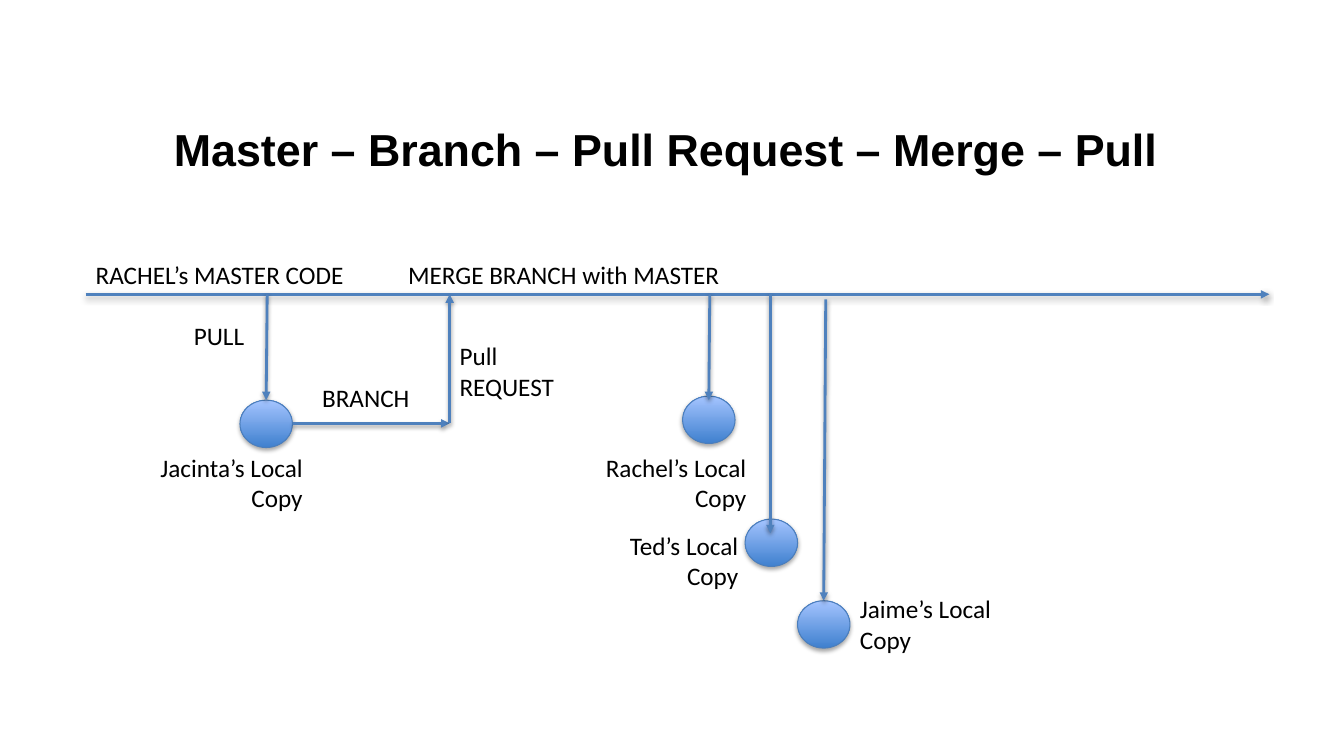
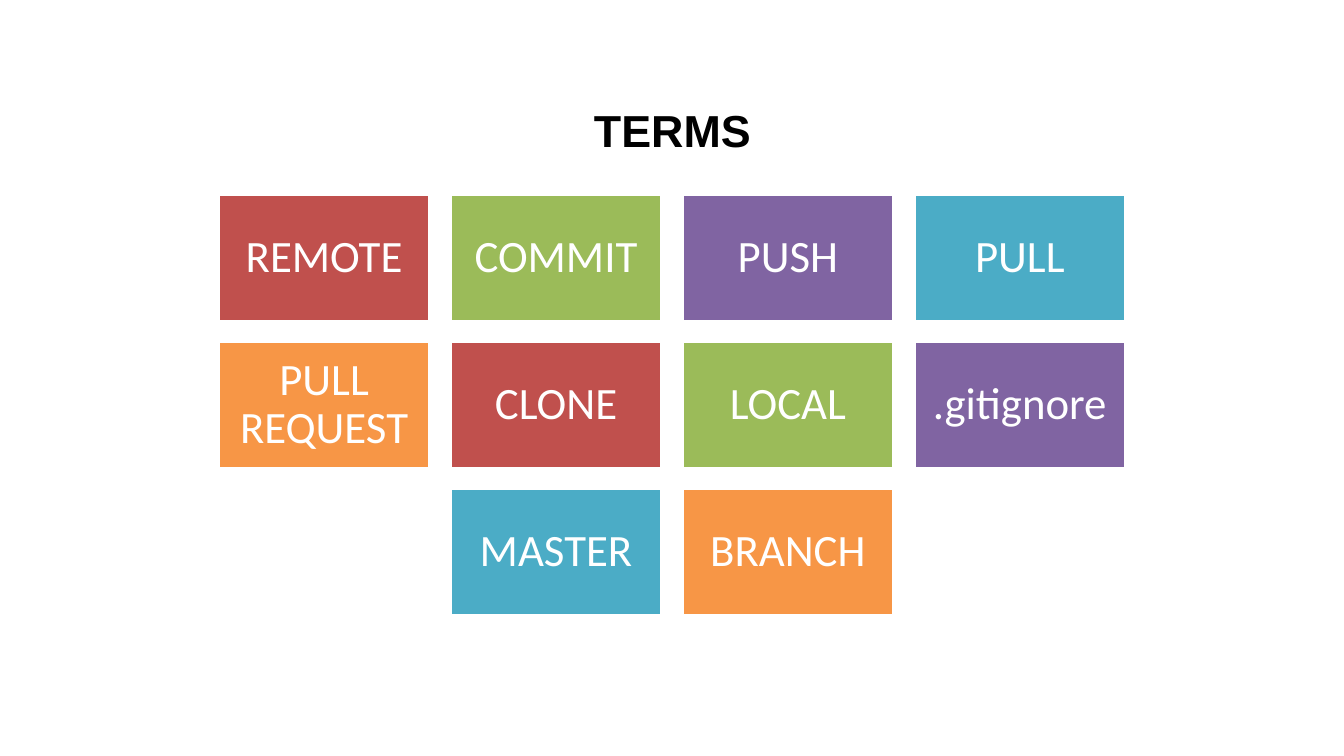
from itertools import cycle

from lxml import etree
from pptx import Presentation
from pptx.dml.color import RGBColor
from pptx.enum.shapes import MSO_CONNECTOR, MSO_SHAPE
from pptx.enum.text import MSO_ANCHOR, MSO_AUTO_SIZE, PP_ALIGN
from pptx.oxml.ns import qn
from pptx.util import Inches, Pt

STRAIGHT = MSO_CONNECTOR.STRAIGHT
OVAL, RECTANGLE = MSO_SHAPE.OVAL, MSO_SHAPE.RECTANGLE
MIDDLE = MSO_ANCHOR.MIDDLE
GROW, NO_FIT = MSO_AUTO_SIZE.SHAPE_TO_FIT_TEXT, MSO_AUTO_SIZE.NONE
LEFT, CENTER, RIGHT = PP_ALIGN.LEFT, PP_ALIGN.CENTER, PP_ALIGN.RIGHT

TITLE_ONLY = 5
TOP_SITE = 0


def color(value):
    return RGBColor.from_string(value)


def place(left, top, width, height):
    return [Inches(length) for length in (left, top, width, height)]


class SlideBuilder:
    """Shared style, and the slide being filled."""

    title_font, body_font = "Arial", "Calibri"
    black, white = "000000", "FFFFFF"
    arrow_color, circle_edge = "4F81BD", "4B7EBC"
    circle_gradient = ("3F80CE", "A4C4FF")
    tile_colors = ("C0504D", "9BBB59", "8064A2", "4BACC6", "F79646")
    circle_width, circle_height = 0.52, 0.47

    def __init__(self):
        self.deck = Presentation()
        self.deck.slide_width = Inches(13.33)
        self.deck.slide_height = Inches(7.5)
        self.page = None

    def set_text(self, frame, text, size, font, ink, align, bold=False):
        frame.word_wrap = True
        para = frame.paragraphs[0]
        para.alignment = align
        span = para.add_run()
        span.text = text
        span.font.size = Pt(size)
        span.font.name = font
        span.font.bold = bold
        span.font.color.rgb = color(ink)
        return para

    def cast_shadow(self, item, distance, opacity):
        effects = etree.SubElement(item._element.spPr, qn("a:effectLst"))
        shadow = etree.SubElement(
            effects, qn("a:outerShdw"), blurRad=str(Pt(3.1)),
            dist=str(Pt(distance)), dir="5400000", rotWithShape="0")
        tint = etree.SubElement(shadow, qn("a:srgbClr"), val=self.black)
        etree.SubElement(tint, qn("a:alpha"), val=str(opacity * 1000))

    def start(self, title, *box):
        layout = self.deck.slide_layouts[TITLE_ONLY]
        self.page = self.deck.slides.add_slide(layout)
        holder = self.page.shapes.title
        holder.left, holder.top, holder.width, holder.height = place(*box)
        frame = holder.text_frame
        frame.auto_size = NO_FIT
        frame.vertical_anchor = MIDDLE
        self.set_text(frame, title, 32, self.title_font, self.black, CENTER,
                      True)

    def label(self, text, left, top, width, height, align=LEFT):
        box = self.page.shapes.add_textbox(*place(left, top, width, height))
        box.text_frame.auto_size = GROW
        self.set_text(box.text_frame, text, 18, self.body_font, self.black,
                      align)

    def circle(self, left, top):
        disc = self.page.shapes.add_shape(
            OVAL, *place(left, top, self.circle_width, self.circle_height))
        disc.fill.gradient()
        disc.fill.gradient_angle = 90
        for stop, tint in zip(disc.fill.gradient_stops, self.circle_gradient):
            stop.color.rgb = color(tint)
        disc.line.color.rgb = color(self.circle_edge)
        disc.line.width = Pt(0.75)
        self.cast_shadow(disc, 1.8, 35)
        return disc

    def arrow(self, x1, y1, x2, y2, target=None):
        link = self.page.shapes.add_connector(STRAIGHT, *place(x1, y1, x2, y2))
        if target is not None:
            link.end_connect(target, TOP_SITE)
        link.line.color.rgb = color(self.arrow_color)
        link.line.width = Pt(2)
        outline = link._element.spPr.find(qn("a:ln"))
        etree.SubElement(outline, qn("a:tailEnd"), type="triangle")
        self.cast_shadow(link, 1.6, 38)

    def tile(self, text, fill, left, top, width, height):
        box = self.page.shapes.add_shape(
            RECTANGLE, *place(left, top, width, height))
        box.shadow.inherit = False
        box.fill.solid()
        box.fill.fore_color.rgb = color(fill)
        box.line.color.rgb = color(self.white)
        box.line.width = Pt(2)
        frame = box.text_frame
        frame.vertical_anchor = MIDDLE
        frame.margin_left = frame.margin_right = Inches(0.13)
        frame.margin_top = frame.margin_bottom = Inches(0.13)
        para = self.set_text(frame, text, 32, self.body_font, self.white,
                             CENTER)
        para.line_spacing = 0.9


def build_workflow(show):
    show.start("Master – Branch – Pull Request – Merge – Pull ",
               0.67, 0.89, 12, 1.17)
    master_y, branch_y, request_x = 2.92, 4.2, 4.46

    # Local copies
    jacinta = show.circle(2.38, 3.97)
    show.circle(6.77, 3.93)
    show.circle(7.39, 5.15)
    jaime = show.circle(7.91, 5.96)

    # Master timeline, branch and pull request
    show.arrow(0.85, master_y, 12.59, master_y)
    show.arrow(2.91, branch_y, request_x, branch_y)
    show.arrow(request_x, branch_y, request_x, master_y)

    # Pulls from master to each local copy
    show.arrow(2.65, master_y, 2.64, 3.97, jacinta)
    show.arrow(7.04, master_y, 7.03, 3.97)
    show.arrow(7.64, master_y, 7.64, 5.29)
    show.arrow(8.19, 2.97, 8.17, 5.96, jaime)

    # Step names
    show.label("RACHEL’s MASTER CODE", 0.85, 2.52, 3.02, 0.4)
    show.label("MERGE BRANCH with MASTER", 3.95, 2.52, 3.44, 0.4)
    show.label("PULL", 1.32, 3.13, 1.2, 0.4, RIGHT)
    show.label("BRANCH", 2.96, 3.74, 1.2, 0.4, RIGHT)
    show.label("Pull REQUEST", request_x, 3.33, 1.2, 0.71)

    # Owners of the local copies
    for owner, left, top, align in (
            ("Jacinta", 1.32, 4.44, RIGHT), ("Rachel", 5.72, 4.44, RIGHT),
            ("Ted", 5.64, 5.21, RIGHT), ("Jaime", 8.43, 5.84, LEFT)):
        show.label(f"{owner}’s Local Copy", left, top, 1.78, 0.71, align)


def build_terms(show):
    show.start("TERMS", 2.17, 0.7, 9, 1.17)
    rows = (("REMOTE", "COMMIT", "PUSH", "PULL"),
            ("PULL REQUEST", "CLONE", "LOCAL", ".gitignore"),
            ("MASTER", "BRANCH"))
    width, height, gap = 2.09, 1.26, 0.21
    fills = cycle(show.tile_colors)

    # Tile grid, with a short row centred
    for row, terms in enumerate(rows):
        indent = (len(rows[0]) - len(terms)) / 2
        for column, term in enumerate(terms):
            show.tile(term, next(fills),
                      2.17 + (indent + column) * (width + gap),
                      1.93 + row * (height + 0.2), width, height)


def main():
    show = SlideBuilder()
    build_workflow(show)
    build_terms(show)
    show.deck.save("out.pptx")


if __name__ == "__main__":
    main()
